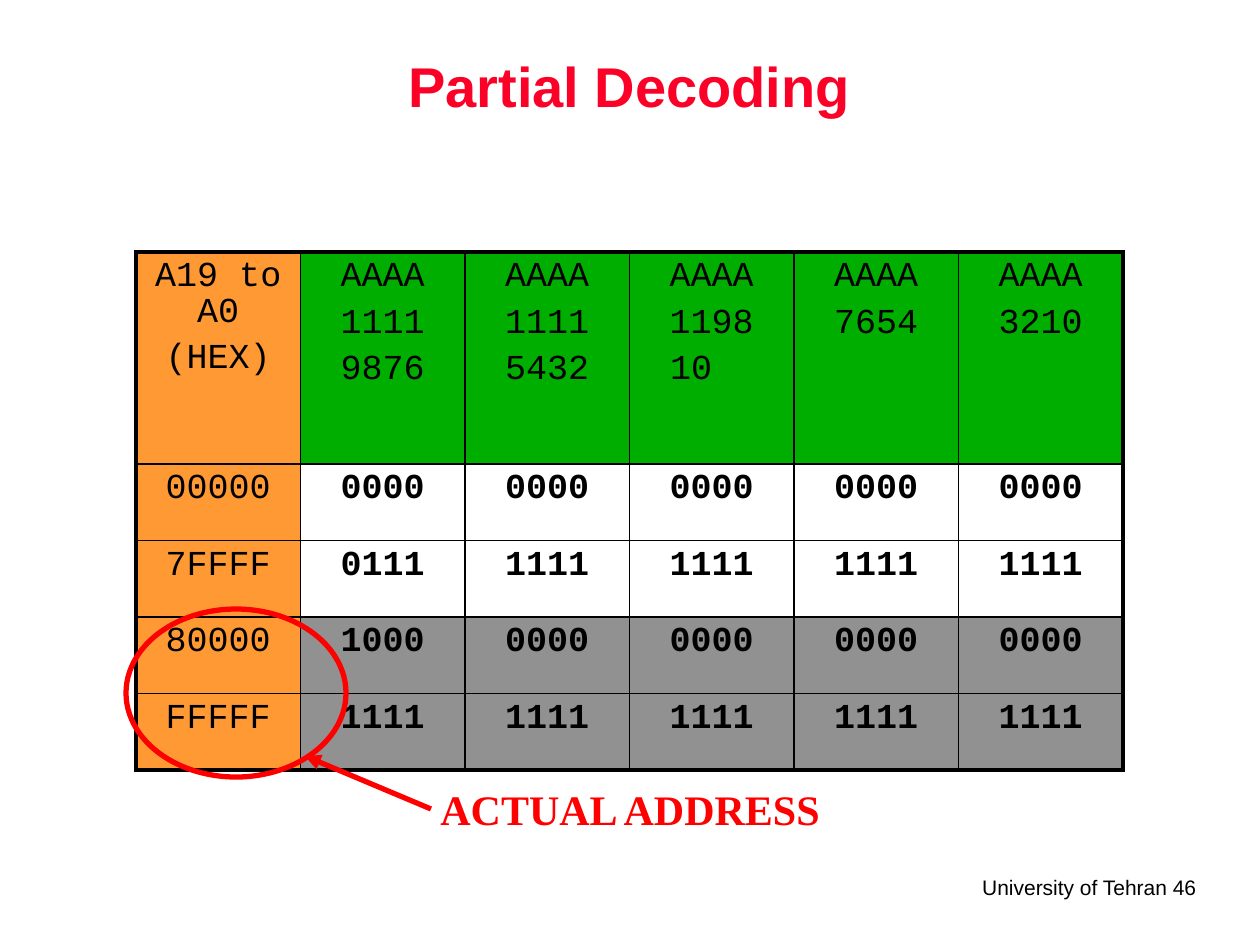
from lxml import etree
from pptx import Presentation
from pptx.dml.color import RGBColor
from pptx.enum.shapes import MSO_CONNECTOR, MSO_SHAPE
from pptx.enum.text import MSO_ANCHOR, PP_ALIGN
from pptx.oxml.ns import qn
from pptx.util import Pt

STRAIGHT, OVAL = MSO_CONNECTOR.STRAIGHT, MSO_SHAPE.OVAL
LEFT, CENTER, RIGHT = PP_ALIGN.LEFT, PP_ALIGN.CENTER, PP_ALIGN.RIGHT
TOP, MIDDLE = MSO_ANCHOR.TOP, MSO_ANCHOR.MIDDLE

# Content
TITLE = "Partial Decoding"
CALLOUT = "ACTUAL ADDRESS"
FOOTER = "University of Tehran 46"
HEADER = ["A19 to A0\n(HEX)", "AAAA\n1111\n9876", "AAAA\n1111\n5432",
          "AAAA\n1198\n10", "AAAA\n7654", "AAAA\n3210"]
ADDRESSES = [
    ["00000", "0000", "0000", "0000", "0000", "0000"],
    ["7FFFF", "0111", "1111", "1111", "1111", "1111"],
    ["80000", "1000", "0000", "0000", "0000", "0000"],
    ["FFFFF", "1111", "1111", "1111", "1111", "1111"],
]
SHORT_LINE = "10"  # starts under the first of four digits
COLORS = {"title": "FC0128", "ink": "000000", "hex": "FF9933", "bits": "00AE00",
          "low": "FFFFFF", "high": "919191", "mark": "FF0000"}
ROW_FILLS = ["bits", "low", "low", "high", "high"]

# Layout in px
TABLE_X, TABLE_Y, TABLE_W, TABLE_H, HEADER_H = 136, 252, 987, 518, 212
SHORT_LINE_INDENT = 28
TITLE_BOX = (TABLE_X, 10, TABLE_W, 158)
CALLOUT_BOX = (428, 777, 779, 105)
FOOTER_BOX = (965, 868, 244, 38)
RING_BOX = (126, 609, 220, 168)
ARROW = (431, 809, 305, 756)
OUTER_PT, INNER_PT, MARK_PT = 2.25, 1, 3


def px(value):
    return round(value * 914400 / 126)


def rgb(name):
    return RGBColor.from_string(COLORS[name])


def style_run(run, font, size, color, bold):
    run.font.name = font
    run.font.size = Pt(size)
    run.font.bold = bold
    run.font.color.rgb = rgb(color)


def add_label(slide, box, text, font, size, color, bold, align,
              anchor=TOP, wrap=True, spacing=1.0):
    frame = slide.shapes.add_textbox(*map(px, box)).text_frame
    frame.text = text
    frame.word_wrap = wrap
    frame.vertical_anchor = anchor
    paragraph = frame.paragraphs[0]
    paragraph.alignment = align
    paragraph.line_spacing = spacing
    style_run(paragraph.runs[0], font, size, color, bold)


def set_border(cell, side, width):
    line = etree.SubElement(cell._tc.get_or_add_tcPr(), qn("a:ln" + side), w=str(Pt(width)))
    fill = etree.SubElement(line, qn("a:solidFill"))
    etree.SubElement(fill, qn("a:srgbClr"), val=COLORS["ink"])


def add_address_table(slide):
    rows = [HEADER] + ADDRESSES
    last_row, last_col = len(rows) - 1, len(HEADER) - 1
    table = slide.shapes.add_table(len(rows), len(HEADER), px(TABLE_X), px(TABLE_Y),
                                   px(TABLE_W), px(TABLE_H)).table
    table.first_row = table.horz_banding = False
    for column in table.columns:
        column.width = px(TABLE_W / len(HEADER))
    for r, row in enumerate(rows):
        table.rows[r].height = px((TABLE_H - HEADER_H) / last_row if r else HEADER_H)
        for c, text in enumerate(row):
            cell = table.cell(r, c)
            edges = {"L": c == 0, "R": c == last_col, "T": r == 0, "B": r == last_row}
            for side, outer in edges.items():
                set_border(cell, side, OUTER_PT if outer else INNER_PT)
            cell.fill.solid()
            cell.fill.fore_color.rgb = rgb(ROW_FILLS[r] if c else "hex")
            cell.text_frame.text = text
            for paragraph in cell.text_frame.paragraphs:
                paragraph.alignment = CENTER
                paragraph.line_spacing = 0.9
                paragraph.space_before = Pt(6)
                if paragraph.text == SHORT_LINE:
                    paragraph.alignment = LEFT
                    paragraph._p.get_or_add_pPr().set("marL", str(px(SHORT_LINE_INDENT)))
                style_run(paragraph.runs[0], "Courier New", 20, "ink", r > 0 and c > 0)


def add_address_mark(slide):
    arrow = slide.shapes.add_connector(STRAIGHT, *map(px, ARROW))
    ring = slide.shapes.add_shape(OVAL, *map(px, RING_BOX))
    ring.shadow.inherit = False
    ring.fill.background()
    for mark in (arrow, ring):
        mark.line.color.rgb = rgb("mark")
        mark.line.width = Pt(MARK_PT)
    etree.SubElement(arrow.line._get_or_add_ln(), qn("a:tailEnd"), type="triangle")
    etree.SubElement(arrow._element.spPr, qn("a:effectLst"))


def main():
    deck = Presentation()
    deck.slide_width, deck.slide_height = px(1260), px(945)
    slide = deck.slides.add_slide(deck.slide_layouts[6])

    add_label(slide, FOOTER_BOX, FOOTER, "Arial", 12, "ink", False, RIGHT, wrap=False)
    add_label(slide, TITLE_BOX, TITLE, "Arial", 32, "title", True, CENTER, MIDDLE,
              spacing=0.9)
    add_address_table(slide)
    add_label(slide, CALLOUT_BOX, CALLOUT, "Times New Roman", 24, "mark", True, LEFT)
    add_address_mark(slide)
    deck.save("out.pptx")


if __name__ == "__main__":
    main()
